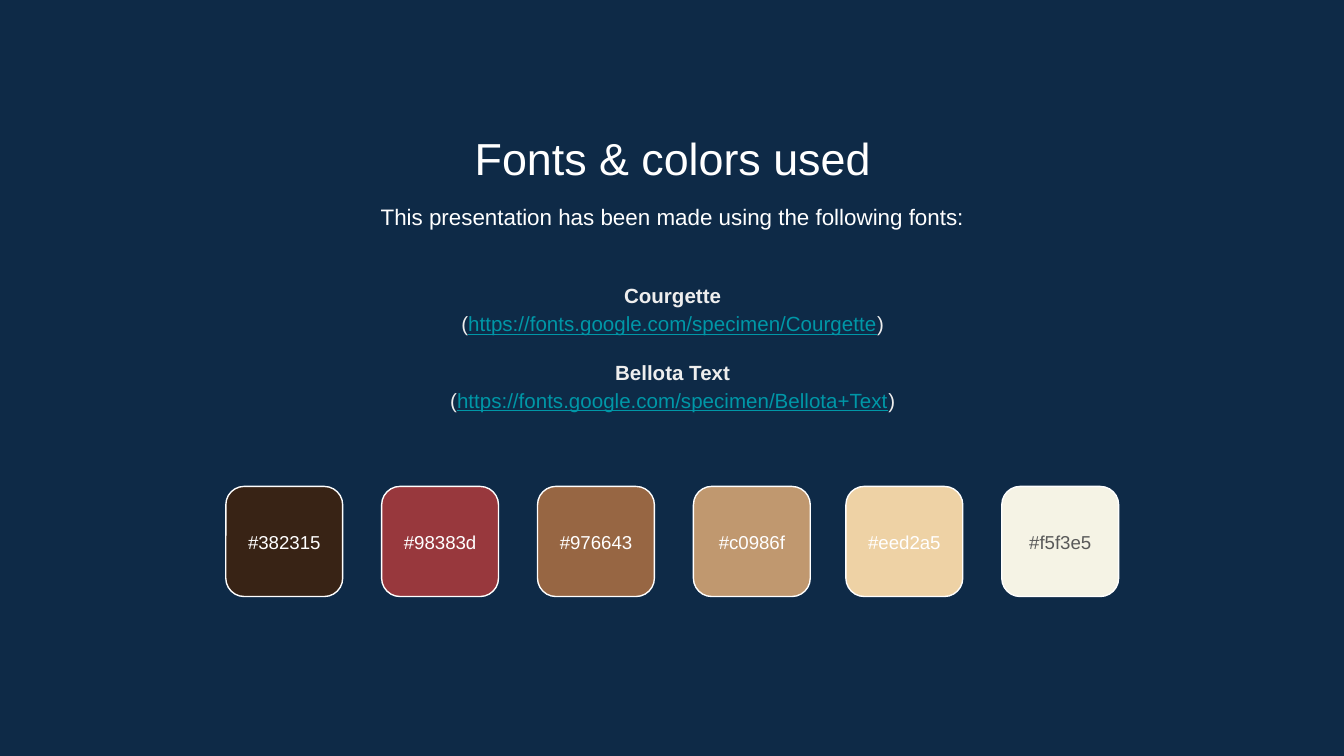
from dataclasses import dataclass

from pptx import Presentation
from pptx.dml.color import RGBColor
from pptx.enum.shapes import MSO_SHAPE as ShapeType
from pptx.enum.text import MSO_ANCHOR as Anchor, PP_ALIGN as Align
from pptx.util import Pt

COLORS = {
    "background": "0E2A47",
    "white": "FFFFFF",
    "soft white": "EEEEEE",
    "link": "0097A7",
    "gray": "595959",
}
BOX_LEFT, BOX_WIDTH = 82.8, 555.1
SWATCH_TOP, SWATCH_WIDTH, SWATCH_HEIGHT = 260.6, 62.6, 59
SWATCH_PITCH = 83.5
LABEL_TOP, LABEL_HEIGHT = 272.9, 34.6
INSET = 7.2


@dataclass
class TextRun:
    text: str
    color: str = "white"
    bold: bool = False
    underline: bool = False


@dataclass
class Line:
    runs: list[TextRun]
    space_before: float = 0


@dataclass
class TextBlock:
    left: float
    top: float
    width: float
    height: float
    size: float
    lines: list[Line]
    anchor: Anchor = Anchor.TOP
    line_spacing: float = 1.0
    inset_top: float = INSET


@dataclass
class Swatch:
    code: str
    left: float
    label_color: str = "white"


def rgb(name: str) -> RGBColor:
    """Return the named colour."""
    return RGBColor.from_string(COLORS[name])


def apply_format(target: object, values: dict) -> None:
    """Set each attribute of the target from the given values."""
    for name, value in values.items():
        setattr(target, name, value)


def draw_text(slide, block: TextBlock) -> None:
    """Draw a centred block of text."""
    box = slide.shapes.add_textbox(
        Pt(block.left), Pt(block.top), Pt(block.width), Pt(block.height))
    frame = box.text_frame
    apply_format(frame, {
        "word_wrap": True,
        "vertical_anchor": block.anchor,
        "margin_left": Pt(INSET),
        "margin_right": Pt(INSET),
        "margin_top": Pt(block.inset_top),
        "margin_bottom": Pt(INSET),
    })
    for index, line in enumerate(block.lines):
        paragraph = frame.add_paragraph() if index else frame.paragraphs[0]
        apply_format(paragraph, {
            "alignment": Align.CENTER,
            "line_spacing": block.line_spacing,
        })
        if line.space_before:
            paragraph.space_before = Pt(line.space_before)
        for piece in line.runs:
            run = paragraph.add_run()
            run.text = piece.text
            apply_format(run.font, {
                "name": "Arial",
                "size": Pt(block.size),
                "bold": piece.bold,
                "underline": piece.underline,
            })
            run.font.color.rgb = rgb(piece.color)


def draw_swatch(slide, swatch: Swatch) -> None:
    """Draw a rounded colour sample with its hex code."""
    shape = slide.shapes.add_shape(
        ShapeType.ROUNDED_RECTANGLE, Pt(swatch.left), Pt(SWATCH_TOP),
        Pt(SWATCH_WIDTH), Pt(SWATCH_HEIGHT))
    shape.shadow.inherit = False
    shape.fill.solid()
    shape.fill.fore_color.rgb = RGBColor.from_string(swatch.code[1:].upper())
    shape.line.color.rgb = rgb("white")
    shape.line.width = Pt(0.75)
    draw_text(slide, TextBlock(
        swatch.left, LABEL_TOP, SWATCH_WIDTH, LABEL_HEIGHT, 10,
        [Line([TextRun(swatch.code, swatch.label_color)])], Anchor.MIDDLE))


def font_entry(name: str, address: str, space_before: float = 0) -> list[Line]:
    """Return the name line and address line of one font."""
    return [
        Line([TextRun(name, "soft white", bold=True)], space_before),
        Line([TextRun("(", "soft white"),
              TextRun(address, "link", underline=True),
              TextRun(")", "soft white")]),
    ]


def swatch_row(left: float, codes: list[str]) -> list[Swatch]:
    """Return evenly spaced swatches starting at the given left edge."""
    return [Swatch(code, left + index * SWATCH_PITCH,
                   "gray" if code == "#f5f3e5" else "white")
            for index, code in enumerate(codes)]


def main() -> None:
    """Build the fonts and colours slide."""
    presentation = Presentation()
    apply_format(presentation, {"slide_width": Pt(720), "slide_height": Pt(405)})
    slide = presentation.slides.add_slide(presentation.slide_layouts[6])
    slide.background.fill.solid()
    slide.background.fill.fore_color.rgb = rgb("background")

    blocks = [
        TextBlock(BOX_LEFT, 59.8, BOX_WIDTH, 38.2, 24,
                  [Line([TextRun("Fonts & colors used")])], inset_top=10),
        TextBlock(BOX_LEFT, 99.4, BOX_WIDTH, 34.6, 12,
                  [Line([TextRun("This presentation has been made using "
                                 "the following fonts:")])],
                  line_spacing=1.15),
        TextBlock(BOX_LEFT, 136.1, BOX_WIDTH, 98.6, 11,
                  font_entry("Courgette",
                             "https://fonts.google.com/specimen/Courgette")
                  + font_entry("Bellota Text",
                               "https://fonts.google.com/specimen/Bellota+Text",
                               10.7),
                  Anchor.MIDDLE, 1.15),
    ]
    for block in blocks:
        draw_text(slide, block)

    swatches = (swatch_row(121, ["#382315", "#98383d", "#976643", "#c0986f"])
                + swatch_row(453.2, ["#eed2a5", "#f5f3e5"]))
    for swatch in swatches:
        draw_swatch(slide, swatch)

    presentation.save("out.pptx")


if __name__ == "__main__":
    main()
